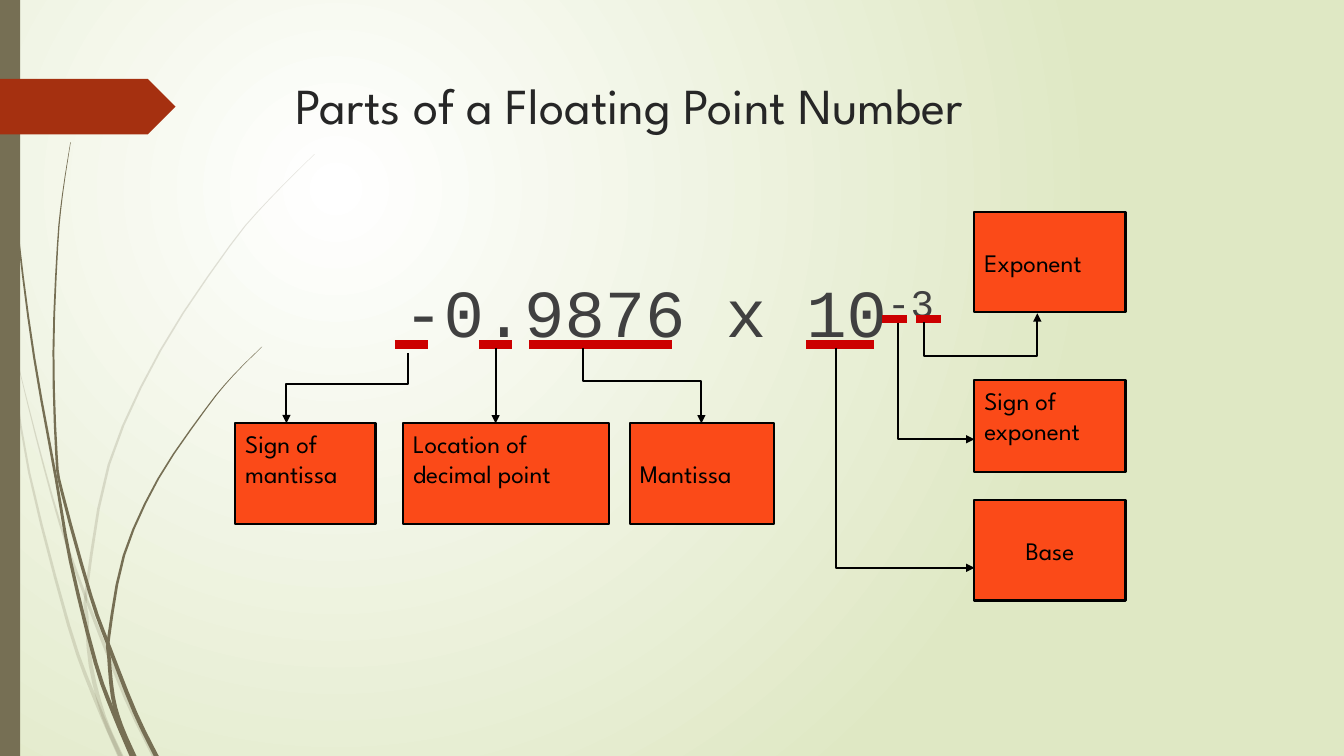
from lxml.etree import SubElement
from pptx import Presentation
from pptx.dml.color import RGBColor
from pptx.enum.shapes import MSO_CONNECTOR, MSO_SHAPE
from pptx.enum.text import MSO_ANCHOR, PP_ALIGN
from pptx.oxml.ns import qn
from pptx.util import Inches, Pt

COLORS = {
    "white": "FFFFFF", "leaf": "DFE8C4", "olive": "766F54", "rust": "A53010",
    "title": "262626", "number": "404040", "underline": "CC0000",
    "box": "FB4A18", "black": "000000",
}
HEADING_FONT, NUMBER_FONT = "League Spartan", "Courier New"
COLS, ROWS = 160, 90
CELL = Inches(1) / 12
STEM_STEPS = 3

# Stem centre lines, in inches from the slide's corner
PALE_STEMS = [
    [(0, 2.9), (0.1, 3.47), (0.29, 4.69), (0.68, 6.2), (0.93, 6.9), (1.19, 7.5)],
    [(0.14, 3.45), (0.36, 4.34), (0.6, 5.21), (0.86, 5.95), (1.25, 6.93), (1.53, 7.5)],
    [(3.12, 1.53), (2.68, 1.97), (2.28, 2.44), (1.59, 3.48), (1.08, 4.61),
     (0.86, 5.84), (0.86, 6.1), (0.9, 6.6), (1.03, 7.11), (1.2, 7.5)],
]
DARK_STEMS = [
    [(0.03, 0), (0.07, 1.1), (0.18, 2.33), (0.34, 3.55), (0.56, 4.77),
     (0.7, 5.57), (0.95, 6.58), (1.13, 7.08), (1.31, 7.5)],
    [(0.7, 1.41), (0.62, 1.93), (0.57, 2.45), (0.53, 3.49), (0.56, 4.51),
     (0.62, 4.9), (0.9, 5.91), (1.08, 6.41), (1.34, 7.07), (1.55, 7.5)],
    [(2.6, 3.44), (2.31, 3.73), (2.04, 4.06), (1.57, 4.75), (1.23, 5.51),
     (1.08, 6.32), (1.08, 6.5), (1.12, 6.91), (1.2, 7.2), (1.33, 7.5)],
]

# Everything below is in grid cells
UNDERLINES = [(47, 51, 41), (57, 61, 41), (63, 80, 41), (96, 104, 41),
              (105, 108, 38), (109, 112, 38)]
TOP, MIDDLE = MSO_ANCHOR.TOP, MSO_ANCHOR.MIDDLE
LEFT, CENTER = PP_ALIGN.LEFT, PP_ALIGN.CENTER
LABELS = [
    (["Sign of", "mantissa"], (28, 50.4, 16.7, 12), TOP, LEFT),
    (["Location of", "decimal point"], (48, 50.4, 24.5, 12), TOP, LEFT),
    (["Mantissa"], (75, 50.4, 17.2, 12), MIDDLE, LEFT),
    (["Exponent"], (116, 25.2, 18, 12), MIDDLE, LEFT),
    (["Sign of", "exponent"], (116, 45.25, 18, 11), TOP, LEFT),
    (["Base"], (116, 59.5, 18, 12), MIDDLE, CENTER),
]
BENT_ARROWS = [
    [(48.6, 42), (48.6, 45.7), (34.1, 45.7), (34.1, 50.4)],
    [(69.4, 41.4), (69.4, 45.4), (83.5, 45.4), (83.5, 50.4)],
    [(99.5, 41.4), (99.5, 67.6), (116, 67.6)],
    [(106.9, 38.4), (106.9, 52.3), (116, 52.3)],
    [(110, 38.4), (110, 42.4), (123.5, 42.4), (123.5, 37.3)],
]


def rgb(name):
    return RGBColor.from_string(COLORS[name])


def cells(*lengths):
    return [round(n * CELL) for n in lengths]


def paint(sp, fill, line=None):
    sp.shadow.inherit = False
    if fill:
        sp.fill.solid()
        sp.fill.fore_color.rgb = rgb(fill)
    else:
        sp.fill.background()
    if line:
        sp.line.color.rgb = rgb(line)
        sp.line.width = Pt(1.5)
    else:
        sp.line.fill.background()


def add_run(p, text, font, size, color):
    r = p.add_run()
    r.text = text
    r.font.name, r.font.size = font, Pt(size)
    r.font.color.rgb = rgb(color)
    return r


def set_background(s):
    """Fill the slide with a circular gradient centred in its upper left quarter."""
    fill = s.background.fill
    fill.gradient()
    for stop, name in zip(fill.gradient_stops, ("white", "leaf")):
        stop.color.rgb = rgb(name)
    grad = s.element.find(".//" + qn("a:gradFill"))
    grad.remove(grad.find(qn("a:lin")))
    circle = SubElement(grad, qn("a:path"), {"path": "circle"})
    SubElement(circle, qn("a:fillToRect"),
               {"l": "50000", "t": "50000", "r": "100000", "b": "100000"})


def smooth_curve(knots):
    """Return points of a Catmull-Rom curve through the knots."""
    padded = [knots[0], *knots, knots[-1]]
    curve = []
    for a, b, c, d in zip(padded, padded[1:], padded[2:], padded[3:]):
        for step in range(STEM_STEPS):
            t = step / STEM_STEPS
            curve.append(tuple(
                q + ((r - p) * t + (2 * p - 5 * q + 4 * r - e) * t ** 2
                     + (3 * q - p - 3 * r + e) * t ** 3) / 2
                for p, q, r, e in zip(a, b, c, d)))
    return curve + [knots[-1]]


def add_outline(s, points, unit, close):
    """Draw straight segments through points that are given in the unit."""
    first, *rest = [(round(x * unit), round(y * unit)) for x, y in points]
    builder = s.shapes.build_freeform(*first)
    builder.add_line_segments(rest, close=close)
    return builder.convert_to_shape()


def add_stem(s, knots, opacity):
    """Draw a grass stem that widens from its tip to its root."""
    curve = smooth_curve(knots)
    half = [0.002 + 0.024 * i / len(curve) for i in range(len(curve))]
    near = [(x - w, y) for (x, y), w in zip(curve, half)]
    far = [(x + w, y) for (x, y), w in zip(curve, half)]
    sp = add_outline(s, near + far[::-1], Inches(1), close=True)
    paint(sp, "olive")
    color = sp.element.spPr.find(qn("a:solidFill"))[0]
    SubElement(color, qn("a:alpha"), {"val": str(opacity * 1000)})


def add_block(s, kind, box, fill, line=None):
    sp = s.shapes.add_shape(kind, *cells(*box))
    paint(sp, fill, line)
    return sp


def add_label(s, lines, box, anchor, align):
    tf = add_block(s, MSO_SHAPE.RECTANGLE, box, "box", "black").text_frame
    tf.word_wrap = True
    tf.vertical_anchor = anchor
    p = tf.paragraphs[0]
    p.alignment = align
    for i, text in enumerate(lines):
        if i:
            p.add_line_break()
        add_run(p, text, HEADING_FONT, 18, "black")


def add_line(s, start, end, color, width):
    line = s.shapes.add_connector(MSO_CONNECTOR.STRAIGHT, *cells(*start, *end))
    line.line.color.rgb = rgb(color)
    line.line.width = Pt(width)
    SubElement(line.element.spPr, qn("a:effectLst"))
    return line


def add_arrowhead(sp):
    ln = sp.element.spPr.find(qn("a:ln"))
    SubElement(ln, qn("a:tailEnd"), {"type": "triangle"})


def add_bent_arrow(s, corners):
    sp = add_outline(s, corners, CELL, close=False)
    paint(sp, None, "black")
    add_arrowhead(sp)


def set_title(s, text):
    title = s.shapes.title
    title.left, title.top, title.width, title.height = cells(34, 8.2, 117, 16.8)
    tf = title.text_frame
    tf.vertical_anchor = TOP
    p = tf.paragraphs[0]
    p.alignment = LEFT
    add_run(p, text, HEADING_FONT, 36, "title")


def add_number(s, number, exponent):
    tf = s.shapes.add_textbox(*cells(21.1, 31.6, 117, 49.6)).text_frame
    tf.word_wrap = True
    p = tf.paragraphs[0]
    p.alignment = CENTER
    add_run(p, number, NUMBER_FONT, 48, "number")
    r = add_run(p, exponent, NUMBER_FONT, 48, "number")
    r.font._element.set("baseline", "30000")


def main():
    prs = Presentation()
    prs.slide_width, prs.slide_height = cells(COLS, ROWS)
    s = prs.slides.add_slide(prs.slide_layouts[5])
    set_background(s)
    for stems, opacity in ((PALE_STEMS, 20), (DARK_STEMS, 100)):
        for knots in stems:
            add_stem(s, knots, opacity)
    add_block(s, MSO_SHAPE.RECTANGLE, (0, 0, 2.4, ROWS), "olive")
    add_block(s, MSO_SHAPE.PENTAGON, (0, 9.4, 20.9, 6.6), "rust")
    set_title(s, "Parts of a Floating Point Number")
    add_number(s, "-0.9876 x 10", "-3")
    for left, right, y in UNDERLINES:
        add_line(s, (left, y), (right, y), "underline", 6)
    for label in LABELS:
        add_label(s, *label)
    add_arrowhead(add_line(s, (59, 41.4), (59, 50.4), "black", 1.5))
    for corners in BENT_ARROWS:
        add_bent_arrow(s, corners)
    prs.save("out.pptx")


if __name__ == "__main__":
    main()
